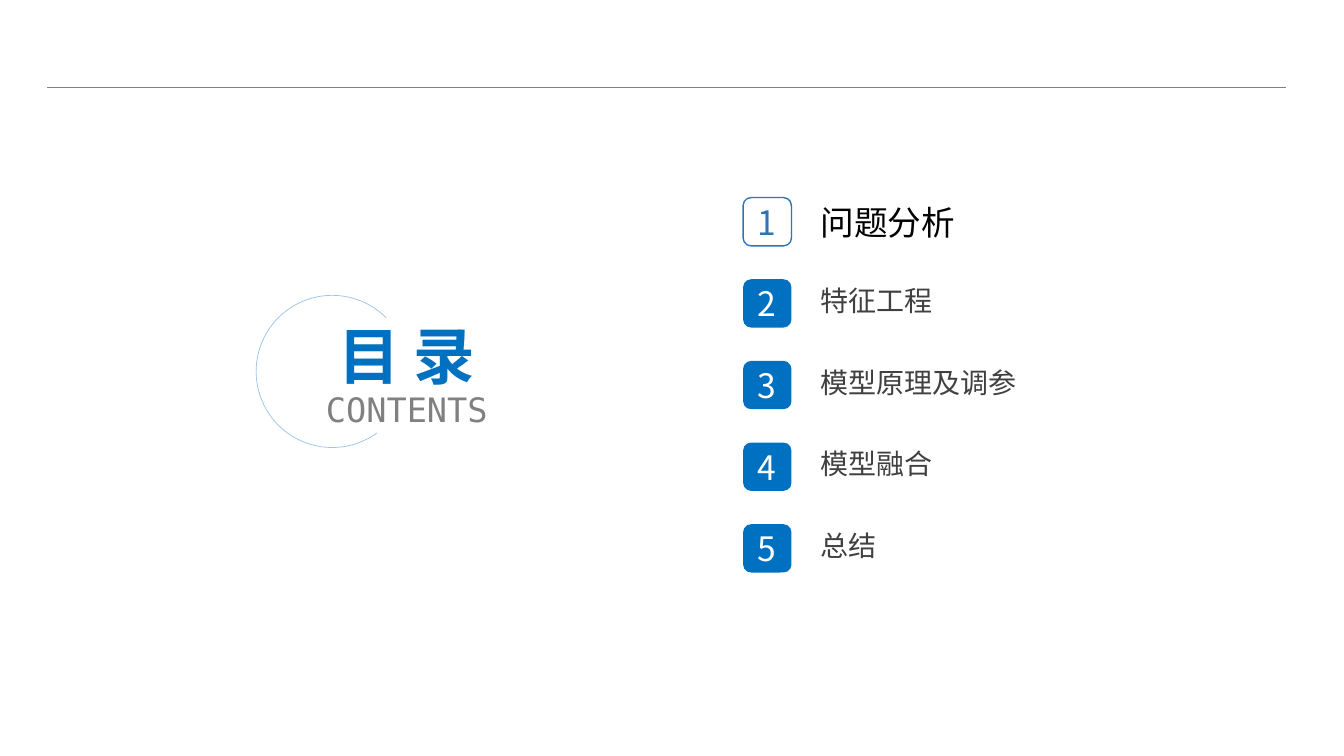
import pptx
import pptx.util
import pptx.dml.color
import pptx.enum.shapes
import pptx.enum.text
import pptx.oxml.ns
from lxml import etree

Inches, Pt = pptx.util.Inches, pptx.util.Pt
SHAPE = pptx.enum.shapes.MSO_SHAPE
ALIGN = pptx.enum.text.PP_ALIGN

CHAPTERS = ["问题分析", "特征工程", "模型原理及调参", "模型融合", "总结"]
CURRENT = 0
TITLE = [("目 录", 44, "Calibri", "blue", True),
         ("CONTENTS", 24, "DejaVu Sans Mono", "gray", False)]

COLORS = {"blue": "0070C0", "outline": "2E75B6", "arc": "9DC3E6", "gray": "808080",
          "white": "FFFFFF", "black": "000000", "text": "404040"}
CJK_FONT = "Noto Sans CJK SC"

BADGE_LEFT, BADGE_TOP, BADGE_SIZE, ROW_STEP = 7.37, 1.96, 0.48, 0.81
LABEL_LEFT, LABEL_WIDTH, LABEL_HEIGHT = 8.04, 2.28, 0.54
LABEL_LIFT = 0.03
ARC_START, ARC_END = 53.76, 315.18


def rgb(name):
    return pptx.dml.color.RGBColor.from_string(COLORS[name])


def add_run(paragraph, text, size, color, font=CJK_FONT, bold=False):
    run = paragraph.add_run()
    run.text = text
    run.font.size = Pt(size)
    run.font.bold = bold
    run.font.name = font
    run.font.color.rgb = rgb(color)
    east_asian = etree.SubElement(run.font._element, pptx.oxml.ns.qn("a:ea"))
    east_asian.set("typeface", CJK_FONT)


def middle_frame(shape):
    frame = shape.text_frame
    frame.word_wrap = True
    frame.vertical_anchor = pptx.enum.text.MSO_ANCHOR.MIDDLE
    return frame


def add_rule(slide):
    rule = slide.shapes.add_connector(pptx.enum.shapes.MSO_CONNECTOR.STRAIGHT,
                                      Inches(0.47), Inches(0.87), Inches(12.75), Inches(0.87))
    rule.line.color.rgb = rgb("gray")
    rule.line.width = Pt(0.5)
    etree.SubElement(rule._element.spPr, pptx.oxml.ns.qn("a:effectLst"))


def add_title(slide):
    box = slide.shapes.add_textbox(Inches(2.85), Inches(2.93), Inches(2.37), Inches(1.64))
    frame = middle_frame(box)
    for i, (text, size, font, color, bold) in enumerate(TITLE):
        paragraph = frame.add_paragraph() if i else frame.paragraphs[0]
        paragraph.alignment = ALIGN.CENTER
        paragraph.line_spacing = 0.9
        add_run(paragraph, text, size, color, font, bold)

    arc = slide.shapes.add_shape(SHAPE.ARC, Inches(2.54), Inches(2.93), Inches(1.51), Inches(1.51))
    arc.shadow.inherit = False
    arc.fill.background()
    arc.line.color.rgb = rgb("arc")
    arc.line.width = Pt(0.5)
    for i, degrees in enumerate((ARC_START, ARC_END)):
        arc.adjustments[i] = degrees * 0.6  # 60000 units per degree, scaled by 100000


def add_chapter(slide, index, name):
    current = index == CURRENT
    top = BADGE_TOP + index * ROW_STEP

    badge = slide.shapes.add_shape(SHAPE.ROUNDED_RECTANGLE, Inches(BADGE_LEFT), Inches(top),
                                   Inches(BADGE_SIZE), Inches(BADGE_SIZE))
    badge.shadow.inherit = False
    badge.fill.solid()
    badge.fill.fore_color.rgb = rgb("white" if current else "blue")
    if current:
        badge.line.color.rgb = rgb("outline")
        badge.line.width = Pt(1)
    else:
        badge.line.fill.background()
    number = middle_frame(badge).paragraphs[0]
    number.alignment = ALIGN.CENTER
    add_run(number, str(index + 1), 24, "outline" if current else "white")

    label_top = top + (BADGE_SIZE - LABEL_HEIGHT) / 2 - (0 if current else LABEL_LIFT)
    label = slide.shapes.add_textbox(Inches(LABEL_LEFT), Inches(label_top),
                                     Inches(LABEL_WIDTH), Inches(LABEL_HEIGHT))
    add_run(middle_frame(label).paragraphs[0], name,
            24 if current else 20, "black" if current else "text")


def main():
    deck = pptx.Presentation()
    deck.slide_width, deck.slide_height = Inches(13.33), Inches(7.5)
    slide = deck.slides.add_slide(deck.slide_layouts[6])
    add_rule(slide)
    add_title(slide)
    for index, name in enumerate(CHAPTERS):
        add_chapter(slide, index, name)
    deck.save("out.pptx")


if __name__ == "__main__":
    main()
